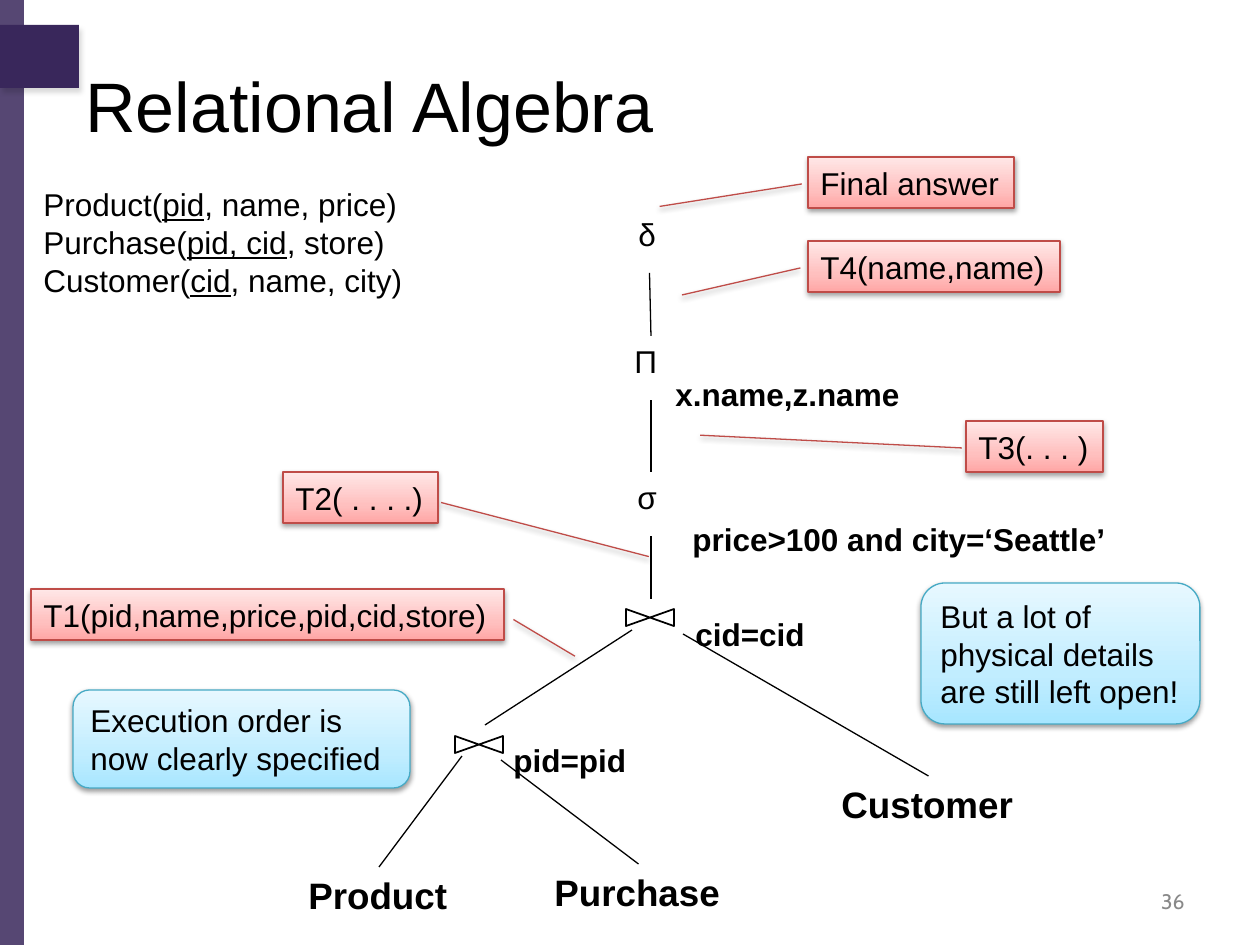
import copy

import pptx
import pptx.dml.color
import pptx.enum.shapes
import pptx.enum.text
import pptx.oxml
import pptx.oxml.ns
import pptx.util

RGBColor = pptx.dml.color.RGBColor
MSO_SHAPE = pptx.enum.shapes.MSO_SHAPE
ANCHOR = pptx.enum.text.MSO_ANCHOR
ALIGN = pptx.enum.text.PP_ALIGN
qn = pptx.oxml.ns.qn

PX = 914400 / 126
BLACK = RGBColor(0x00, 0x00, 0x00)
GRAY = RGBColor(0x89, 0x89, 0x89)
PURPLE = RGBColor(0x39, 0x27, 0x5B)
RED_LINE = RGBColor(0xBF, 0x4C, 0x48)
RED_FILL = [RGBColor(0xFF, 0xA6, 0xA5), RGBColor(0xFF, 0xC0, 0xBF), RGBColor(0xFF, 0xE7, 0xE7)]
BLUE_LINE = RGBColor(0x46, 0xAA, 0xC5)
BLUE_FILL = [RGBColor(0xA7, 0xE6, 0xFF), RGBColor(0xC1, 0xED, 0xFF), RGBColor(0xE7, 0xF8, 0xFF)]

deck = pptx.Presentation()
deck.slide_width = round(1260 * PX)
deck.slide_height = round(945 * PX)
slide = deck.slides.add_slide(deck.slide_layouts[6])
shapes = slide.shapes


def write(text, at=None, shape=None, size=18, bold=False, color=BLACK, font="Arial",
          wrap=False, anchor=ANCHOR.TOP, align=ALIGN.LEFT):
    """Write text in a shape or a new text box; _marked_ parts are underlined."""
    if shape is None:
        shape = shapes.add_textbox(*(round(v * PX) for v in at))
    frame = shape.text_frame
    frame.word_wrap = wrap
    frame.vertical_anchor = anchor
    for i, line in enumerate(text.split("\n")):
        paragraph = frame.add_paragraph() if i else frame.paragraphs[0]
        paragraph.alignment = align
        for j, part in enumerate(line.split("_")):
            run = paragraph.add_run()
            run.text = part
            run.font.size = pptx.util.Pt(size)
            run.font.name = font
            run.font.bold = bold
            run.font.underline = j % 2 == 1
            run.font.color.rgb = color
    return shape


def cast_shadow(shape, alpha, blur, distance, angle):
    """Give a shape a black outer shadow; blur and distance in points."""
    shape.shadow.inherit = False
    effects = shape._element.spPr.find(qn("a:effectLst"))
    shadow = effects.makeelement(qn("a:outerShdw"), {
        "blurRad": str(round(blur * 12700)), "dist": str(round(distance * 12700)),
        "dir": str(angle * 60000), "rotWithShape": "0"})
    effects.append(shadow)
    black = shadow.makeelement(qn("a:srgbClr"), {"val": "000000"})
    shadow.append(black)
    black.append(black.makeelement(qn("a:alpha"), {"val": str(alpha * 1000)}))


# Side band and tab
for at, alpha in [((0, 0, 24, 945), 85), ((0, 25, 79, 63), 100)]:
    band = shapes.add_shape(MSO_SHAPE.RECTANGLE, *(round(v * PX) for v in at))
    band.fill.solid()
    band.fill.fore_color.rgb = PURPLE
    band.line.fill.background()
    if alpha < 100:
        band.shadow.inherit = False
        tint = band._element.spPr.find(".//" + qn("a:srgbClr"))
        tint.append(tint.makeelement(qn("a:alpha"), {"val": str(alpha * 1000)}))
    else:
        cast_shadow(band, 15, 3, 3, 60)

# Title
write("Relational Algebra", at=(73, 26, 1144, 157), size=40, wrap=True, anchor=ANCHOR.MIDDLE)

# Join symbols
for left, top in [(455, 736), (626, 609)]:
    right, bottom = left + 48, top + 17
    outline = shapes.build_freeform(left, top, scale=PX)
    outline.add_line_segments([(left, bottom), (right, top), (right, bottom)], close=True)
    join = outline.convert_to_shape()
    join.fill.background()
    join.line.color.rgb = BLACK
    join.line.width = pptx.util.Pt(1)
    join.shadow.inherit = False

# Operators, conditions and relations of the query tree
tree = {}
for text, at, size, bold in [
    ("Product", (296, 867, 166, 57), 21, True),
    ("Purchase", (542, 864, 193, 57), 21, True),
    ("Customer", (829, 776, 199, 57), 21, True),
    ("pid=pid", (501, 735, 140, 50), 18, True),
    ("cid=cid", (683, 609, 136, 50), 18, True),
    ("price>100 and city=‘Seattle’", (680, 514, 444, 50), 18, True),
    ("x.name,z.name", (663, 369, 252, 50), 18, True),
    ("δ", (626, 209, 47, 64), 18, False),
    ("Π", (622, 336, 58, 64), 18, False),
    ("σ", (625, 472, 52, 64), 18, False),
]:
    tree[text] = write(text, at=at, size=size, bold=bold)

# Branches: each end is a free point or a (tree part, side) pair
for start, end in [
    ((485, 725), (632, 630)),
    (("Product", 0), (462, 756)),
    (("Purchase", 0), ("pid=pid", 1)),
    (("Customer", 0), ("cid=cid", 1)),
    ((651, 599), ("σ", 2)),
    (("σ", 0), ("Π", 2)),
    (("Π", 0), ("δ", 2)),
]:
    points = [(0, 0) if end_point[0] in tree else end_point for end_point in (start, end)]
    branch = shapes.add_connector(pptx.enum.shapes.MSO_CONNECTOR.STRAIGHT,
                                  *(round(v * PX) for point in points for v in point))
    if start[0] in tree:
        branch.begin_connect(tree[start[0]], start[1])
    if end[0] in tree:
        branch.end_connect(tree[end[0]], end[1])
    branch.line.color.rgb = BLACK
    branch.line.width = pptx.util.Pt(0.75)
    spPr = branch._element.spPr
    spPr.append(spPr.makeelement(qn("a:effectLst"), {}))

# Callouts for intermediate results, and the two remarks
CALLOUT = (MSO_SHAPE.LINE_CALLOUT_1, RED_FILL, RED_LINE)
REMARK = (MSO_SHAPE.ROUNDED_RECTANGLE, BLUE_FILL, BLUE_LINE)
for (kind, colors, edge), text, at, adjustments in [
    (CALLOUT, "T1(pid,name,price,pid,cid,store)", (31, 589, 473, 51), (0.6, 1.02, 1.32, 1.15)),
    (CALLOUT, "T2( . . . .)", (283, 472, 155, 51), (0.6, 1.02, 1.66, 2.36)),
    (CALLOUT, "T4(name,name)", (808, 241, 252, 51), (0.53, -0.03, 1.06, -0.5)),
    (CALLOUT, "Final answer", (808, 157, 206, 51), (0.53, -0.03, 0.97, -0.72)),
    (CALLOUT, "T3(. . . )", (966, 421, 137, 51), (0.53, -0.03, 0.28, -1.94)),
    (REMARK, "Execution order is now clearly specified", (73, 690, 337, 98), (0.17,)),
    (REMARK, "But a lot of\nphysical details\nare still left open!", (921, 583, 279, 141), (0.17,)),
]:
    panel = shapes.add_shape(kind, *(round(v * PX) for v in at))
    for i, value in enumerate(adjustments):
        panel.adjustments[i] = value
    panel.fill.gradient()
    panel.fill.gradient_angle = 90
    stops = panel._element.spPr.find(".//" + qn("a:gsLst"))
    stops.insert(1, copy.deepcopy(stops[0]))
    for stop, position, color in zip(panel.fill.gradient_stops, (0, 0.35, 1), colors):
        stop.position = position
        stop.color.rgb = color
    panel.line.color.rgb = edge
    panel.line.width = pptx.util.Pt(0.75)
    cast_shadow(panel, 38, 3.1, 1.6, 90)
    write(text, shape=panel, wrap=text.startswith("Execution"), anchor=ANCHOR.MIDDLE)

# Schema and slide number
write("Product(_pid_, name, price)\nPurchase(_pid, cid_, store)\nCustomer(_cid_, name, city)",
      at=(31, 179, 509, 165), wrap=True)
write("36", at=(903, 876, 294, 50), size=12, font="Cabin", color=GRAY, wrap=True,
      anchor=ANCHOR.MIDDLE, align=ALIGN.RIGHT)

deck.save("out.pptx")
